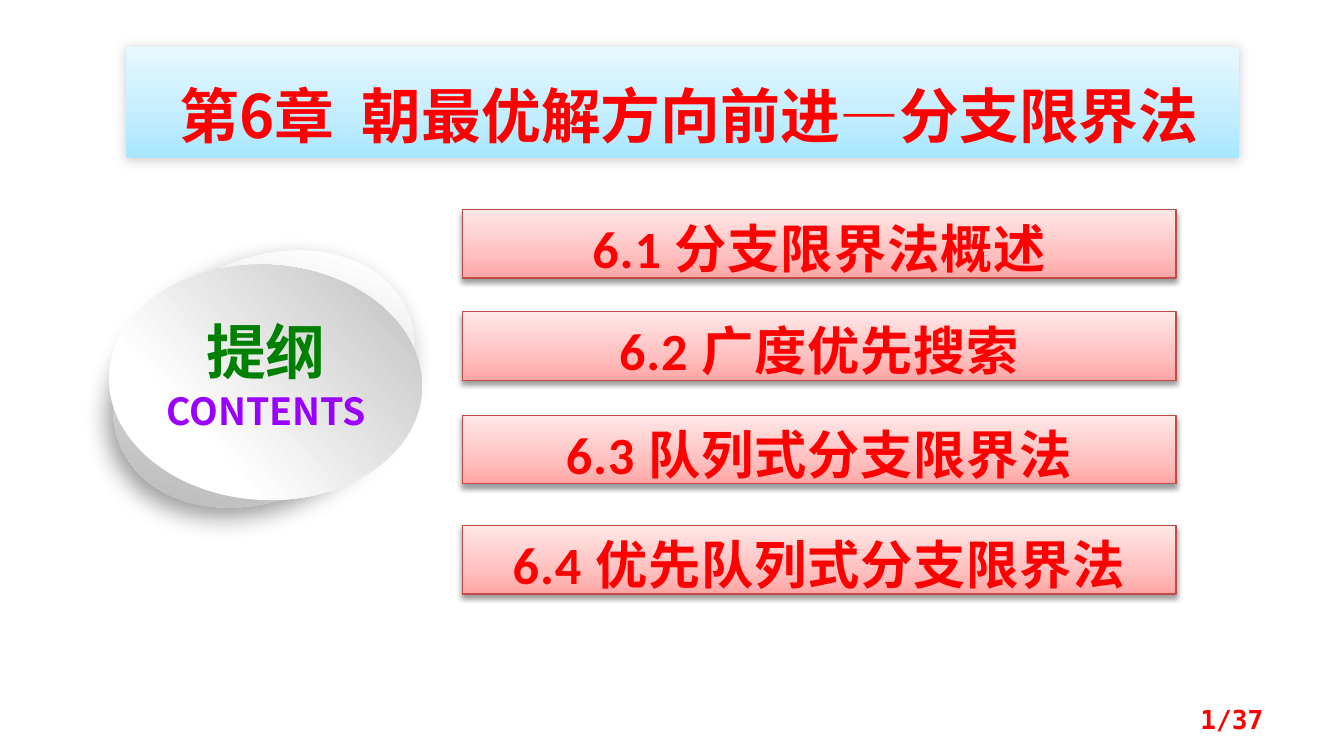
from lxml import etree
from pptx import Presentation
from pptx.dml.color import RGBColor
from pptx.enum import shapes, text
from pptx.oxml import ns
from pptx.util import Inches, Pt

RED = RGBColor(0xFF, 0x00, 0x00)
GREEN = RGBColor(0x00, 0x80, 0x00)
PURPLE = RGBColor(0x99, 0x00, 0xFF)
BLACK = RGBColor(0x00, 0x00, 0x00)
WHITE = RGBColor(0xFF, 0xFF, 0xFF)
BORDER = RGBColor(0xBF, 0x4C, 0x48)
SKY = [(0, RGBColor(0xA7, 0xE6, 0xFF)), (35, RGBColor(0xC1, 0xED, 0xFF)),
       (100, RGBColor(0xE7, 0xF8, 0xFF))]
ROSE = [(0, RGBColor(0xFF, 0xA6, 0xA5)), (35, RGBColor(0xFF, 0xC0, 0xBF)),
        (100, RGBColor(0xFF, 0xE7, 0xE7))]
DISC_BACK = [(17, WHITE), (88, RGBColor(0xB8, 0xB8, 0xB8))]
DISC_FRONT = [(29, WHITE), (98, RGBColor(0xBF, 0xBF, 0xBF))]
CJK = "Noto Sans CJK SC"
SECTIONS = [(0, "6.1 分支限界法概述"), (0.76, "6.2 广度优先搜索"),
            (1.53, "6.3 队列式分支限界法"), (2.35, "6.4 优先队列式分支限界法")]


def add_element(parent, tag, **attributes):
    """Append a DrawingML element with the given attributes."""
    values = {name: str(value) for name, value in attributes.items()}
    return etree.SubElement(parent, ns.qn(tag), values)


def add_panel(page, preset, box, stops, angle, shadow=None):
    """Add a borderless gradient shape with an optional shadow."""
    panel = page.shapes.add_shape(preset, *map(Inches, box))
    panel.line.fill.background()
    panel.shadow.inherit = False
    properties = panel.element.spPr
    gradient = add_element(properties, "a:gradFill", rotWithShape=1)
    stop_list = add_element(gradient, "a:gsLst")
    for position, color in stops:
        stop = add_element(stop_list, "a:gs", pos=position * 1000)
        add_element(stop, "a:srgbClr", val=color)
    add_element(gradient, "a:lin", ang=angle * 60000, scaled=0)
    properties.insert(2, gradient)
    if shadow:
        opacity, blur, distance, direction = shadow
        effects = properties.find(ns.qn("a:effectLst"))
        outer = add_element(effects, "a:outerShdw", blurRad=Pt(blur), dist=Pt(distance),
                            dir=direction * 60000, algn="ctr", rotWithShape=0)
        color = add_element(outer, "a:srgbClr", val=BLACK)
        add_element(color, "a:alpha", val=opacity * 1000)
    return panel


def write(shape, words, size, color, font=CJK, align=text.PP_ALIGN.CENTER,
          anchor=text.MSO_ANCHOR.TOP, spacing=0):
    """Write one bold line of text into a shape."""
    frame = shape.text_frame
    frame.word_wrap = True
    frame.vertical_anchor = anchor
    para = frame.paragraphs[0]
    para.alignment = align
    span = para.add_run()
    span.text = words
    span.font.size = Pt(size)
    span.font.bold = True
    span.font.color.rgb = color
    span.font.name = font
    run_properties = span.font._element
    add_element(run_properties, "a:ea", typeface=CJK)
    if spacing:
        run_properties.set("spc", str(int(spacing * 100)))


def add_title(page, box):
    """Place the chapter banner."""
    banner = add_panel(page, shapes.MSO_SHAPE.RECTANGLE, box, SKY, 270, (20, 6, 1, 135))
    banner.text_frame.margin_top = Inches(0.24)
    write(banner, " 第6章  朝最优解方向前进—分支限界法", 32, RED)


def add_sections(page, box):
    """Stack the section bars in the box."""
    left, top, width, height = box
    for offset, words in SECTIONS:
        bar = add_panel(page, shapes.MSO_SHAPE.RECTANGLE, (left, top + offset, width, height),
                        ROSE, 270, (38, 3.1, 1.6, 90))
        bar.line.color.rgb = BORDER
        bar.line.width = Pt(0.75)
        write(bar, words, 28, RED, font="Calibri", spacing=0.5)


def add_contents_disc(page, box):
    """Place the two tilted discs and their captions."""
    left, top, width, height = box
    back = add_panel(page, shapes.MSO_SHAPE.OVAL, (left + 0.02, top, width - 0.07, height),
                     DISC_BACK, 45, (39, 13, 6, 123))
    back.rotation = 62.3
    front = add_panel(page, shapes.MSO_SHAPE.OVAL,
                      (left + 0.04, top + 0.04, width - 0.09, height - 0.03), DISC_FRONT, 45)
    front.rotation = 273
    captions = [("CONTENTS", 20, PURPLE, (left, top + 1.2, width, 0.44)),
                ("提纲", 32, GREEN, (left + 0.15, top + 0.65, width - 0.3, 0.64))]
    for words, size, color, place in captions:
        caption = page.shapes.add_textbox(*map(Inches, place))
        write(caption, words, size, color)


def add_page_number(page, box):
    """Place the page counter."""
    counter = page.shapes.add_textbox(*map(Inches, box))
    write(counter, "1/37", 14, RED, font="DejaVu Sans Mono",
          align=text.PP_ALIGN.RIGHT, anchor=text.MSO_ANCHOR.MIDDLE)


def main():
    """Build the deck."""
    deck = Presentation()
    deck.slide_width = Inches(10)
    deck.slide_height = deck.slide_width * 9 // 16
    page = deck.slides.add_slide(deck.slide_layouts[6])
    add_title(page, (0.94, 0.35, 8.28, 0.83))
    add_contents_disc(page, (1.06, 1.64, 1.84, 2.36))
    add_sections(page, (3.44, 1.56, 5.31, 0.51))
    add_page_number(page, (7.17, 5.2, 2.33, 0.3))
    deck.save("out.pptx")


if __name__ == "__main__":
    main()
